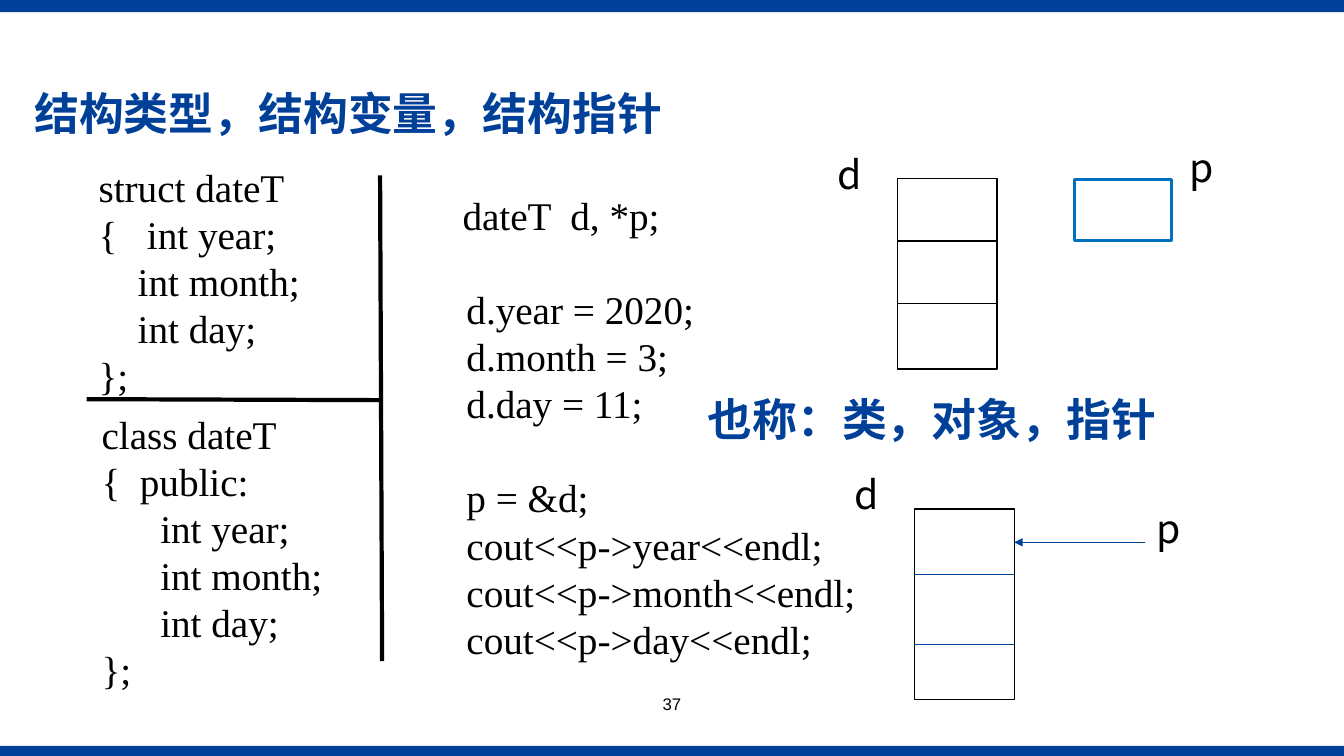
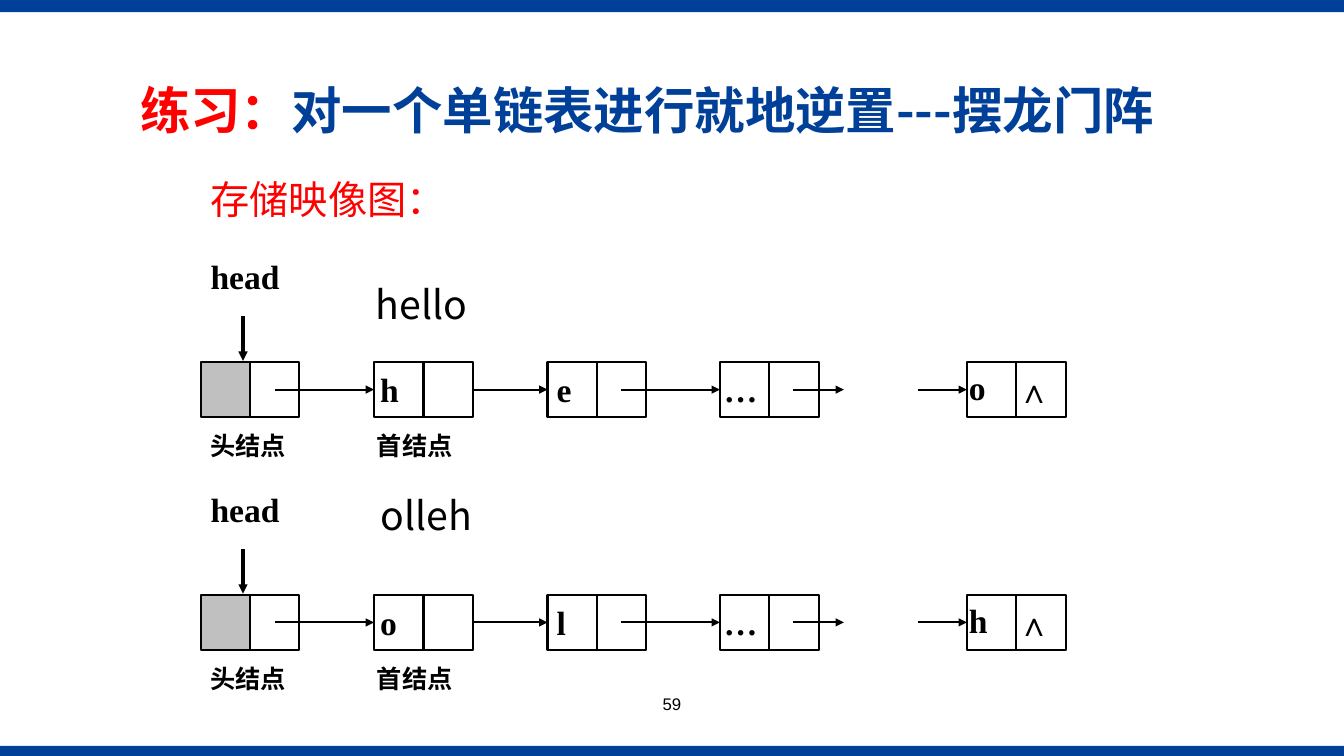
from dataclasses import dataclass

from lxml.etree import SubElement
from pptx import Presentation
from pptx.dml.color import RGBColor
from pptx.enum.shapes import MSO_CONNECTOR, MSO_SHAPE
from pptx.enum.text import MSO_ANCHOR, PP_ALIGN
from pptx.oxml.ns import qn
from pptx.util import Inches, Pt


@dataclass(frozen=True)
class Theme:
    navy: str = "004098"
    blue: str = "0070C0"
    red: str = "FF0000"
    black: str = "000000"
    grey: str = "C0C0C0"
    sans: str = "Noto Sans CJK SC"
    serif: str = "Times New Roman"
    number_font: str = "Arial"
    title: int = 32
    wide_title: int = 36
    body: int = 28
    node: int = 24
    label: int = 18
    number: int = 12


THEME = Theme()
WIDTH, HEIGHT = 13.33, 7.5
CELL_W, CELL_H = 0.49, 0.55
CODE_LINE = 33.6
CODE_SPACE = 0.097


def add_run(paragraph, text, size, color=THEME.black, font=THEME.sans, bold=False):
    run = paragraph.add_run()
    run.text = text
    run.font.size = Pt(size)
    run.font.name = font
    run.font.bold = bold
    run.font.color.rgb = RGBColor.from_string(color)
    SubElement(run.font._element, qn("a:ea"), typeface=THEME.sans)


def add_frame(slide, x, y, w, h, inset=True):
    frame = slide.shapes.add_textbox(*map(Inches, (x, y, w, h))).text_frame
    frame.word_wrap = True
    if not inset:
        frame.margin_left = frame.margin_right = 0
        frame.margin_top = frame.margin_bottom = 0
    return frame


def add_text(slide, x, y, w, h, text, size=THEME.body, inset=True,
             align=PP_ALIGN.LEFT, **style):
    paragraph = add_frame(slide, x, y, w, h, inset).paragraphs[0]
    paragraph.alignment = align
    add_run(paragraph, text, size, **style)


def add_heading(frame, parts, size):
    frame.word_wrap = True
    frame.vertical_anchor = MSO_ANCHOR.MIDDLE
    paragraph = frame.paragraphs[0]
    paragraph.alignment = PP_ALIGN.LEFT
    paragraph.line_spacing = 0.9
    for text, color in parts:
        add_run(paragraph, text, size, color, bold=True)


def add_code(slide, x, y, w, h, lines, tab=None):
    frame = add_frame(slide, x, y, w, h)
    for index, (indent, gap, text) in enumerate(lines):
        paragraph = frame.paragraphs[0] if index == 0 else frame.add_paragraph()
        properties = paragraph._p.get_or_add_pPr()
        properties.set("marL", str(Inches(indent * CODE_SPACE)))
        if gap:
            paragraph.space_before = Pt(gap * CODE_LINE)
        if "\t" in text:
            stops = SubElement(properties, qn("a:tabLst"))
            SubElement(stops, qn("a:tab"), pos=str(Inches(tab)), algn="l")
        add_run(paragraph, text, THEME.body, font=THEME.serif)


def add_box(slide, x, y, w, h, line=THEME.black, weight=1.0, fill=None):
    box = slide.shapes.add_shape(MSO_SHAPE.RECTANGLE, *map(Inches, (x, y, w, h)))
    box.shadow.inherit = False
    if fill:
        box.fill.solid()
        box.fill.fore_color.rgb = RGBColor.from_string(fill)
    else:
        box.fill.background()
    if line:
        box.line.color.rgb = RGBColor.from_string(line)
        box.line.width = Pt(weight)
    else:
        box.line.fill.background()
    return box


def add_line(slide, start, end, weight, color=THEME.black, arrow=False):
    line = slide.shapes.add_connector(
        MSO_CONNECTOR.STRAIGHT, *map(Inches, (*start, *end)))
    line.line.color.rgb = RGBColor.from_string(color)
    line.line.width = Pt(weight)
    if arrow:
        SubElement(line.line._get_or_add_ln(), qn("a:tailEnd"), type="triangle")
    SubElement(line._element.spPr, qn("a:effectLst"))
    return line


def add_bands(slide):
    master_shapes = slide.slide_layout.slide_master.shapes.element
    for y, h in ((0, 0.12), (7.4, 0.1)):
        band = add_box(slide, 0, y, WIDTH, h, line=None, fill=THEME.navy)
        master_shapes.insert(2, band.element)


def add_slide(deck, number, title_parts, title_size, x, y, w, h):
    slide = deck.slides.add_slide(deck.slide_layouts[5])
    title = slide.shapes.title
    title.left, title.top, title.width, title.height = map(Inches, (x, y, w, h))
    add_heading(title.text_frame, title_parts, title_size)
    add_text(slide, 5.08, 6.83, 3.17, 0.5, number, THEME.number,
             align=PP_ALIGN.CENTER, font=THEME.number_font)
    return slide


def add_record(slide, x, y, dividers, color, weight):
    add_box(slide, x, y, 0.99, 1.89)
    for divider in dividers:
        add_line(slide, (x, divider), (x + 0.99, divider), weight, color)
    return x + 0.99


def add_node(slide, x, y, fill=None):
    data = add_box(slide, x, y, CELL_W, CELL_H, weight=1.5, fill=fill)
    pointer = add_box(slide, x + CELL_W, y, CELL_W, CELL_H, weight=1.5)
    return data, pointer


def add_linked_list(slide, y, letters):
    node_lefts = (1.99, 3.71, 5.43, 7.14, 9.59)
    nodes = [add_node(slide, x, y, THEME.grey if index == 0 else None)
             for index, x in enumerate(node_lefts)]
    middle = y + CELL_H / 2
    for start, target in zip((2.73, 4.69, 6.16, None, 9.1), (1, 2, 3, None, 4)):
        if target is None:
            add_line(slide, (7.87, middle), (8.37, middle), 1.5, arrow=True)
            continue
        link = add_line(slide, (start, middle), (node_lefts[target], middle),
                        1.5, arrow=True)
        if target == 2:
            link.begin_connect(nodes[1][1], 3)
        link.end_connect(nodes[target][0], 1)

    letter_places = ((3.77, 0.07), (5.52, 0.07), (7.18, 0.07),
                     (9.61, 0.05), (10.09, 0.08))
    for letter, (x, drop) in zip((*letters, "∧"), letter_places):
        add_text(slide, x, y + drop, 0.37, 0.47, letter, THEME.node, inset=False,
                 align=PP_ALIGN.JUSTIFY, font=THEME.serif, bold=True)

    add_text(slide, 1.99, y - 1.1, 1.04, 0.66, "head", THEME.node,
             align=PP_ALIGN.JUSTIFY, font=THEME.serif, bold=True)
    add_line(slide, (2.41, y - 0.45), (2.41, y - 0.01), 2.25, arrow=True)
    for x, label in ((1.99, "头结点"), (3.64, "首结点")):
        add_text(slide, x, y + 0.63, 1.02, 0.4, label, THEME.label,
                 font=THEME.serif, bold=True)


def build_structures(deck):
    slide = add_slide(deck, "37", [("结构类型，结构变量，结构指针", THEME.navy)],
                      THEME.title, 0.24, 0.73, 10.2, 0.85)
    add_code(slide, 0.88, 1.57, 3, 2.46, [
        (0, 0, "struct dateT"),
        (0, 0, "{\tint year;"),
        (4, 0, "int month;"),
        (4, 0, "int day;"),
        (0, 0, "};"),
    ], tab=0.48)
    add_code(slide, 0.91, 4.02, 3, 2.93, [
        (0, 0, "class dateT"),
        (0, 0, "{\tpublic:"),
        (6, 0, "int year;"),
        (6, 0, "int month;"),
        (6, 0, "int day;"),
        (0, 0, "};"),
    ], tab=0.38)
    add_code(slide, 4.14, 1.85, 5.43, 4.81, [
        (3.6, 0, "dateT  d, *p;"),
        (4, 1, "d.year = 2020;"),
        (4, 0, "d.month = 3;"),
        (4, 0, "d.day = 11;"),
        (4, 1, "p = &d;"),
        (4, 0, "cout<<p->year<<endl;"),
        (4, 0, "cout<<p->month<<endl;"),
        (4, 0, "cout<<p->day<<endl;"),
    ])
    add_line(slide, (3.77, 1.74), (3.79, 6.56), 3)
    add_line(slide, (0.86, 3.96), (3.79, 3.97), 3)
    add_heading(add_frame(slide, 6.92, 3.76, 5.9, 0.85),
                [("也称：类，对象，指针", THEME.navy)], THEME.title)

    add_record(slide, 8.9, 1.77, (2.39, 3.01), THEME.black, 1)
    add_box(slide, 10.66, 1.78, 0.96, 0.61, THEME.blue, 2.25)
    record_right = add_record(slide, 9.07, 5.05, (5.7, 6.39), THEME.navy, 0.5)
    add_line(slide, (11.36, 5.38), (record_right, 5.38), 0.5, THEME.navy, arrow=True)
    for x, y, name in ((8.21, 1.44, "d"), (11.7, 1.37, "p"),
                       (8.38, 4.62, "d"), (11.37, 4.95, "p")):
        add_text(slide, x, y, 0.6, 0.57, name)
    return slide


def build_reversal(deck):
    slide = add_slide(deck, "59", [
        ("练习：", THEME.red),
        ("对一个单链表进行就地逆置---摆龙门阵", THEME.navy),
    ], THEME.wide_title, 1.29, 0.5, 10.76, 1.25)
    add_text(slide, 1.99, 1.69, 3.43, 0.57, "存储映像图：", color=THEME.red)
    add_linked_list(slide, 3.59, "he…o")
    add_linked_list(slide, 5.9, "ol…h")
    add_text(slide, 3.63, 2.73, 2.84, 0.57, "hello")
    add_text(slide, 3.68, 4.83, 1.4, 0.57, "olleh")


def main():
    deck = Presentation()
    deck.slide_width, deck.slide_height = Inches(WIDTH), Inches(HEIGHT)
    add_bands(build_structures(deck))
    build_reversal(deck)
    deck.save("out.pptx")


if __name__ == "__main__":
    main()
